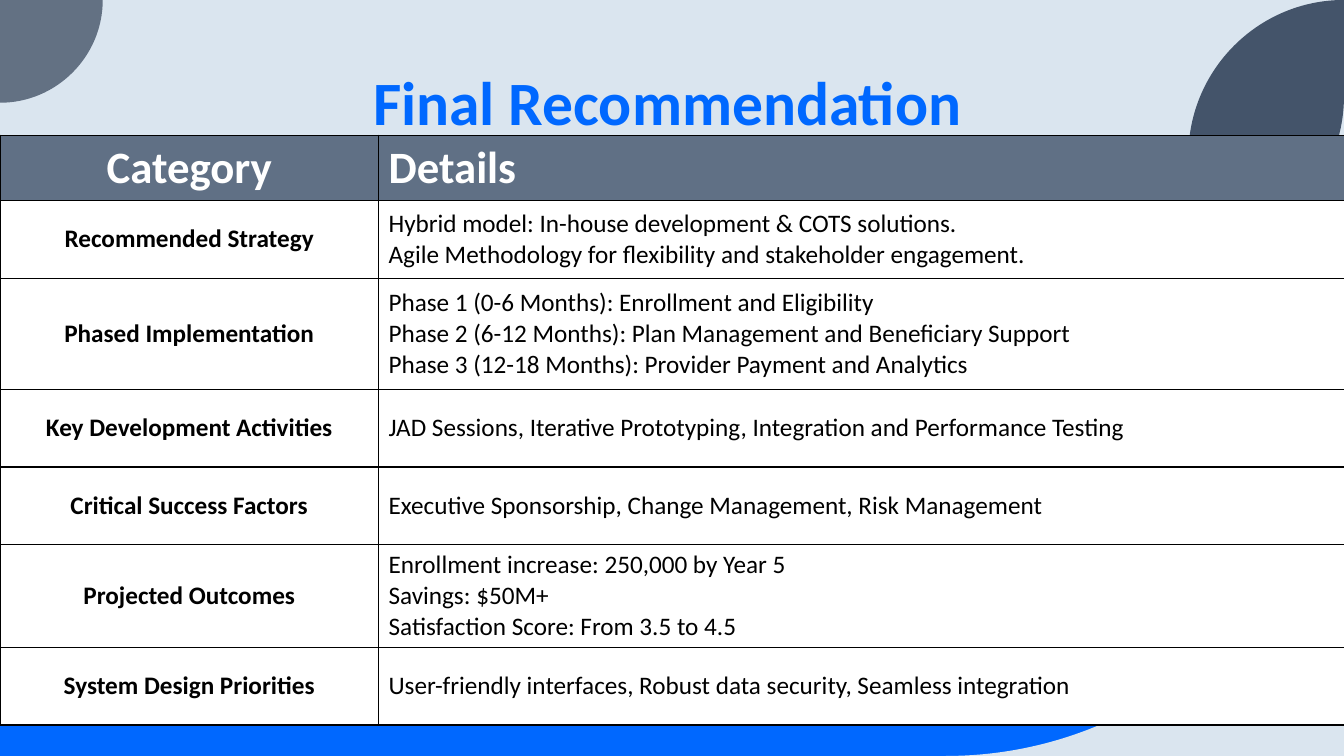
import pptx
import pptx.dml.color
import pptx.enum.shapes
import pptx.enum.text
import pptx.util
from lxml import etree
from pptx.oxml.ns import qn

Cm = pptx.util.Cm
Pt = pptx.util.Pt
RGBColor = pptx.dml.color.RGBColor
ALIGN = pptx.enum.text.PP_ALIGN
ANCHOR = pptx.enum.text.MSO_ANCHOR

# Content
TITLE = "Final Recommendation"
HEADINGS = ("Category", "Details")
ROWS = [
    ("Recommended Strategy", [
        "Hybrid model: In-house development & COTS solutions.",
        "Agile Methodology for flexibility and stakeholder engagement."]),
    ("Phased Implementation", [
        "Phase 1 (0-6 Months): Enrollment and Eligibility",
        "Phase 2 (6-12 Months): Plan Management and Beneficiary Support",
        "Phase 3 (12-18 Months): Provider Payment and Analytics"]),
    ("Key Development Activities", [
        "JAD Sessions, Iterative Prototyping, Integration and Performance Testing"]),
    ("Critical Success Factors", [
        "Executive Sponsorship, Change Management, Risk Management"]),
    ("Projected Outcomes", [
        "Enrollment increase: 250,000 by Year 5",
        "Savings: $50M+",
        "Satisfaction Score: From 3.5 to 4.5"]),
    ("System Design Priorities", [
        "User-friendly interfaces, Robust data security, Seamless integration"]),
]

# Look, lengths in cm
FONT = "Calibri"
BLUE = RGBColor(0x00, 0x68, 0xFF)
PALE = RGBColor(0xDA, 0xE5, 0xEF)
GREY = RGBColor(0x63, 0x71, 0x83)
NAVY = RGBColor(0x44, 0x54, 0x6A)
SLATE = RGBColor(0x60, 0x70, 0x85)
WHITE = RGBColor(0xFF, 0xFF, 0xFF)
BLACK = RGBColor(0x00, 0x00, 0x00)
WIDTH, HEIGHT = 33.87, 19.05
BAND_TOP = 6.35
SWEEP_RADIUS, CORNER_RADIUS, LEAF_RADIUS = 10.03, 2.59, 3.92
LEAF_HEIGHT = 6.35
TABLE_TOP = 3.41
COLUMN_WIDTHS = (9.54, 24.35)
HEADER_HEIGHT, ROW_HEIGHT = 1.64, 1.96
TALL_ROWS = {2: 2.8, 5: 2.58}


def quarter(start, corner, end):
    """Quarter circle from start to end, bulging to corner, as a Bezier curve."""
    controls = [tuple(p + 0.55 * (c - p) for p, c in zip(point, corner))
                for point in (start, end)]
    return (*controls, end)


def paint(shape, color):
    shape.shadow.inherit = False
    shape.fill.solid()
    shape.fill.fore_color.rgb = color
    shape.line.fill.background()


def add_outline(page, start, steps, color):
    """Each step holds one point for a line or three for a curve."""
    builder = page.shapes.build_freeform(Cm(start[0]), Cm(start[1]), scale=1.0)
    builder.add_line_segments([(Cm(x), Cm(y)) for step in steps for x, y in step])
    shape = builder.convert_to_shape()
    segments = iter(list(shape._element.iter(qn("a:lnTo"))))
    for step in steps:
        first, *others = [next(segments) for _ in step]
        if others:
            curve = etree.Element(qn("a:cubicBezTo"))
            first.addprevious(curve)
            for segment in (first, *others):
                curve.append(segment[0])
                segment.getparent().remove(segment)
    paint(shape, color)


def write(frame, lines, *, size, color, bold=False, align=ALIGN.LEFT, spacing=None):
    frame.word_wrap = True
    for i, line in enumerate(lines):
        para = frame.paragraphs[0] if i == 0 else frame.add_paragraph()
        para.alignment = align
        if spacing:
            para.line_spacing = spacing
        span = para.add_run()
        span.text = line
        span.font.name = FONT
        span.font.size = Pt(size)
        span.font.bold = bold
        span.font.color.rgb = color


def style_cell(cell, color, anchor):
    cell.vertical_anchor = anchor
    properties = cell._tc.get_or_add_tcPr()
    for side in ("lnL", "lnR", "lnT", "lnB"):
        border = etree.SubElement(properties, qn("a:" + side), w=str(Pt(1)))
        fill = etree.SubElement(border, qn("a:solidFill"))
        etree.SubElement(fill, qn("a:srgbClr"), val=str(BLACK))
    cell.fill.solid()
    cell.fill.fore_color.rgb = color


def add_backdrop(page):
    page.background.fill.solid()
    page.background.fill.fore_color.rgb = PALE
    band = page.shapes.add_shape(pptx.enum.shapes.MSO_SHAPE.RECTANGLE, 0, Cm(BAND_TOP),
                                 Cm(WIDTH), Cm(HEIGHT - BAND_TOP))
    paint(band, BLUE)

    # Bottom right sweep
    top, corner = (WIDTH, HEIGHT - SWEEP_RADIUS), (WIDTH, HEIGHT)
    add_outline(page, top,
                [quarter(top, corner, (WIDTH - SWEEP_RADIUS, HEIGHT)), [corner], [top]],
                PALE)

    # Top left quarter disc
    right, below = (CORNER_RADIUS, 0), (0, CORNER_RADIUS)
    add_outline(page, (0, 0),
                [[right], quarter(right, (CORNER_RADIUS, CORNER_RADIUS), below), [(0, 0)]],
                GREY)

    # Top right leaf
    left = WIDTH - LEAF_RADIUS
    tip, tail = (WIDTH, 0), (left, LEAF_HEIGHT)
    right, shoulder = (WIDTH, LEAF_HEIGHT - LEAF_RADIUS), (left, LEAF_RADIUS)
    add_outline(page, tip,
                [[right], quarter(right, (WIDTH, LEAF_HEIGHT), tail),
                 [shoulder], quarter(shoulder, (left, 0), tip)], NAVY)


def add_table(page):
    heights = [HEADER_HEIGHT] + [TALL_ROWS.get(i, ROW_HEIGHT)
                                 for i in range(1, len(ROWS) + 1)]
    table = page.shapes.add_table(len(heights), len(COLUMN_WIDTHS), 0, Cm(TABLE_TOP),
                                  Cm(sum(COLUMN_WIDTHS)), Cm(sum(heights))).table
    table.first_row = table.horz_banding = False
    for column, width in zip(table.columns, COLUMN_WIDTHS):
        column.width = Cm(width)
    for row, height in zip(table.rows, heights):
        row.height = Cm(height)

    contents = [(HEADINGS[0], [HEADINGS[1]])] + ROWS
    for i, (category, details) in enumerate(contents):
        header = i == 0
        size, color = (32, WHITE) if header else (18, BLACK)
        for j, lines in enumerate(([category], details)):
            cell = table.cell(i, j)
            style_cell(cell, SLATE if header else WHITE,
                       ANCHOR.TOP if header and j == 0 else ANCHOR.MIDDLE)
            write(cell.text_frame, lines, size=size, color=color,
                  bold=header or j == 0,
                  align=ALIGN.CENTER if j == 0 else ALIGN.LEFT)


def main():
    deck = pptx.Presentation()
    deck.slide_width, deck.slide_height = Cm(WIDTH), Cm(HEIGHT)
    page = deck.slides.add_slide(deck.slide_layouts[6])
    add_backdrop(page)

    # Title
    box = page.shapes.add_textbox(Cm(3.25), 0, Cm(27.15), Cm(3.58))
    box.text_frame.vertical_anchor = ANCHOR.BOTTOM
    write(box.text_frame, [TITLE], size=44, color=BLUE, bold=True,
          align=ALIGN.CENTER, spacing=0.8)

    add_table(page)
    deck.save("out.pptx")


if __name__ == "__main__":
    main()
